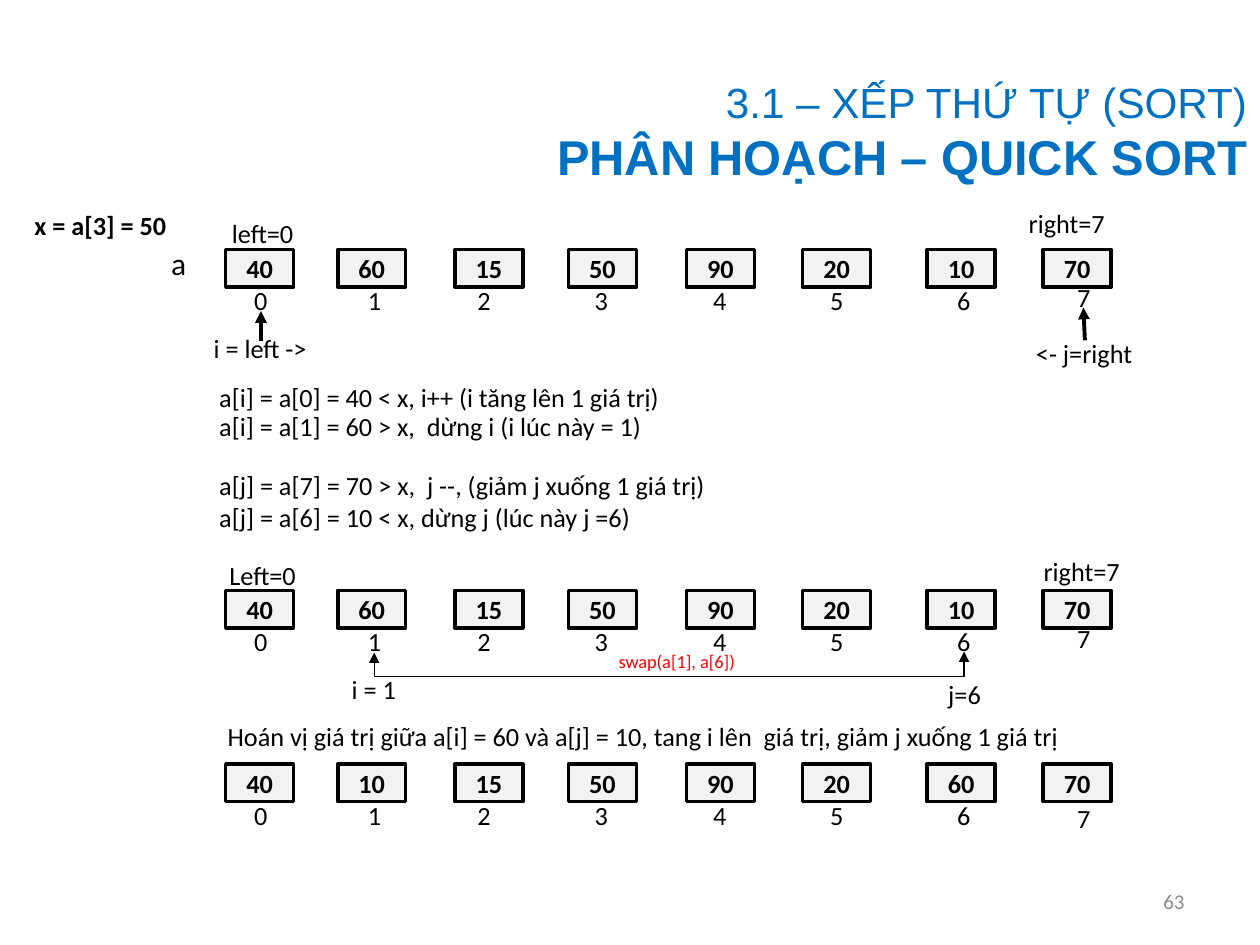
"""Build the quick sort partition slide."""
from lxml.etree import SubElement
from pptx import Presentation
from pptx.dml.color import RGBColor
from pptx.enum.shapes import MSO_CONNECTOR as CONN, MSO_SHAPE as SHAPE
from pptx.enum.text import MSO_ANCHOR as ANCHOR, PP_ALIGN as ALIGN
from pptx.oxml.ns import qn
from pptx.util import Cm, Pt

BLACK = RGBColor(0x00, 0x00, 0x00)
CELL = RGBColor(0xF2, 0xF2, 0xF2)
RED = RGBColor(0xFF, 0x00, 0x00)
GRAY = RGBColor(0x8C, 0x8C, 0x8C)
BLUE = RGBColor(0x00, 0x70, 0xC0)


def put_text(sp, text, align=ALIGN.CENTER, size=15, color=BLACK, bold=False, font="Calibri"):
    tf = sp.text_frame
    tf.word_wrap = True
    tf.vertical_anchor = ANCHOR.MIDDLE
    tf.margin_top = tf.margin_bottom = 0
    tf.text = text
    for p in tf.paragraphs:
        p.alignment = align
        for r in p.runs:
            r.font.name = font
            r.font.size = Pt(size)
            r.font.bold = bold
            r.font.color.rgb = color
    return tf


def add_arrow(kind, x1, y1, x2, y2, width, ends):
    c = s.shapes.add_connector(kind, Cm(x1), Cm(y1), Cm(x2), Cm(y2))
    c.line.color.rgb = BLACK
    c.line.width = Pt(width)
    spPr = c._element.spPr
    for end in ends:
        SubElement(spPr.find(qn("a:ln")), qn(end)).set("type", "triangle")
    SubElement(spPr, qn("a:effectLst"))
    return spPr


prs = Presentation()
prs.slide_width, prs.slide_height = Cm(25.4), Cm(19.05)
s = prs.slides.add_slide(prs.slide_layouts[6])

cell_lefts = [4.55, 6.81, 9.17, 11.46, 13.84, 16.18, 18.69, 21.03]
index_lefts = [4.09, 6.38, 8.59, 10.95, 13.34, 15.7, 18.26, 20.68]
rows = [
    (5.03, [40, 60, 15, 50, 90, 20, 10, 70], -0.07),
    (11.9, [40, 60, 15, 50, 90, 20, 10, 70], -0.07),
    (15.4, [40, 10, 15, 50, 90, 20, 60, 70], 0.06),
]
for top, values, last_shift in rows:
    for i, value in enumerate(values):
        sp = s.shapes.add_shape(SHAPE.RECTANGLE, Cm(cell_lefts[i]), Cm(top), Cm(1.37), Cm(0.76))
        sp.shadow.inherit = False
        sp.fill.solid()
        sp.fill.fore_color.rgb = CELL
        sp.line.color.rgb = BLACK
        sp.line.width = Pt(2)
        put_text(sp, str(value), bold=True)
        index_top = top + 0.81 + (last_shift if i == 7 else 0)
        sp = s.shapes.add_textbox(Cm(index_lefts[i]), Cm(index_top), Cm(2.34), Cm(0.43))
        put_text(sp, str(i))

labels = [
    ("x = a[3] = 50", 0.41, 4.29),
    ("left=0", 3.68, 4.45),
    ("right=7", 19.89, 4.24),
    ("i = left ->", 3.63, 6.76),
    ("<- j=right", 20.24, 6.86),
    ("Left=0", 3.68, 11.33),
    ("right=7", 20.19, 11.25),
    ("i = 1", 5.92, 13.64),
    ("j=6", 17.83, 13.74),
]
for text, left, top in labels:
    sp = s.shapes.add_textbox(Cm(left), Cm(top), Cm(3.23), Cm(0.51))
    put_text(sp, text, bold=text.startswith("x"))

notes = [
    ("a[i] = a[0] = 40 < x, i++ (i tăng lên 1 giá trị)", 4.17, 7.75, 14.35),
    ("a[i] = a[1] = 60 > x,  dừng i (i lúc này = 1)", 4.17, 8.33, 14.35),
    ("a[j] = a[7] = 70 > x,  j --, (giảm j xuống 1 giá trị)", 4.17, 9.53, 14.35),
    ("a[j] = a[6] = 10 < x, dừng j (lúc này j =6)", 4.17, 10.16, 14.35),
    ("Hoán vị giá trị giữa a[i] = 60 và a[j] = 10, tang i lên  giá trị, "
     "giảm j xuống 1 giá trị", 4.34, 14.59, 18.08),
]
for text, left, top, width in notes:
    sp = s.shapes.add_textbox(Cm(left), Cm(top), Cm(width), Cm(0.51))
    put_text(sp, text, ALIGN.LEFT)

sp = s.shapes.add_textbox(Cm(3.2), Cm(4.93), Cm(0.99), Cm(0.74))
put_text(sp, "a", ALIGN.LEFT, 18)
sp = s.shapes.add_textbox(Cm(12.22), Cm(12.85), Cm(2.95), Cm(0.97))
put_text(sp, "swap(a[1], a[6])", ALIGN.LEFT, 10.5, RED)

add_arrow(CONN.STRAIGHT, 5.26, 6.88, 5.26, 6.27, 2.25, ["a:tailEnd"])
add_arrow(CONN.STRAIGHT, 21.87, 6.86, 21.84, 6.2, 2.25, ["a:tailEnd"])
spPr = add_arrow(CONN.ELBOW, 13.5, 19.09, 13.48, 7.2, 0.75, ["a:headEnd", "a:tailEnd"])
spPr.find(qn("a:xfrm")).set("rot", "5400000")
gd = SubElement(spPr.find(qn("a:prstGeom")).find(qn("a:avLst")), qn("a:gd"))
gd.set("name", "adj1")
gd.set("fmla", "val -2450000")

sp = s.shapes.add_textbox(Cm(18.21), Cm(17.65), Cm(5.92), Cm(1.02))
put_text(sp, "63", ALIGN.RIGHT, 12, GRAY)
sp = s.shapes.add_textbox(Cm(0), Cm(1.27), Cm(25.4), Cm(2.74))
tf = put_text(sp, "3.1 – XẾP THỨ TỰ (SORT)\nPHÂN HOẠCH – QUICK SORT", ALIGN.RIGHT, 24.1, BLUE, font="Arial")
r = tf.paragraphs[1].runs[0]
r.font.size = Pt(27.9)
r.font.bold = True

prs.save("out.pptx")
